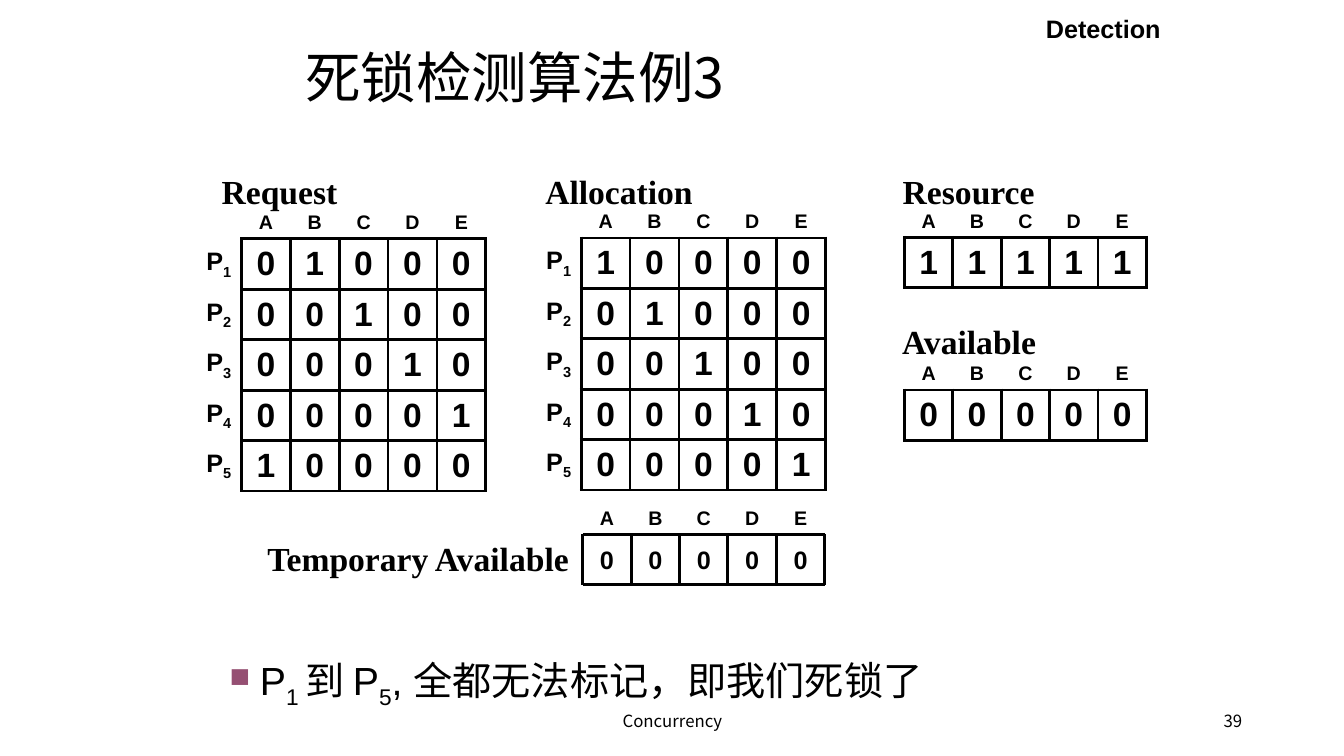
from dataclasses import dataclass

from lxml import etree
from pptx import Presentation
from pptx.dml.color import RGBColor
from pptx.enum.shapes import MSO_CONNECTOR, MSO_SHAPE
from pptx.enum.text import MSO_ANCHOR, PP_ALIGN
from pptx.oxml.ns import qn
from pptx.shapes.shapetree import GroupShapes, SlideShapes
from pptx.table import _Cell
from pptx.text.text import TextFrame
from pptx.util import Emu, Pt

EMU_PER_PX = 9144
BLACK = RGBColor(0x00, 0x00, 0x00)
WHITE = RGBColor(0xFF, 0xFF, 0xFF)
BULLET_COLOR = "954F72"
SANS = "Arial"
SERIF = "Times New Roman"
CJK = "Noto Sans CJK SC"
LEFT, CENTER, RIGHT = PP_ALIGN.LEFT, PP_ALIGN.CENTER, PP_ALIGN.RIGHT
TOP, MIDDLE, BOTTOM = MSO_ANCHOR.TOP, MSO_ANCHOR.MIDDLE, MSO_ANCHOR.BOTTOM
STRAIGHT = MSO_CONNECTOR.STRAIGHT
RECTANGLE = MSO_SHAPE.RECTANGLE
RULE_WIDTH = Pt(2.25)
CELL_HEIGHT = 50
RESOURCES = "ABCDE"
CELL_SIDES = ("L", "R", "T", "B")


@dataclass(frozen=True)
class Style:
    size: float
    font: str = SANS
    bold: bool = True
    align: PP_ALIGN = CENTER
    anchor: MSO_ANCHOR = MIDDLE


@dataclass(frozen=True)
class Label:
    runs: tuple[str, ...]
    left: int
    top: int
    width: int
    height: int
    style: Style


@dataclass(frozen=True)
class Matrix:
    left: int
    top: int
    width: int
    header_height: int
    rows: tuple[str, ...]
    has_processes: bool


RESOURCE_NAME = Style(14, anchor=BOTTOM)
PROCESS_NAME = Style(18, align=RIGHT)
VALUE = Style(24)
TEMPORARY_VALUE = Style(18)
HEADING = Style(24, SERIF, align=LEFT, anchor=TOP)
HEADING_RIGHT = Style(24, SERIF, align=RIGHT, anchor=TOP)
TITLE = Style(39.6, CJK, False, LEFT)
FOOTER = Style(12, CJK, False)
PAGE_NUMBER = Style(12, CJK, False, RIGHT)
CONCLUSION = Style(28, SANS, False, LEFT, TOP)
TOPIC = Style(18, align=RIGHT, anchor=TOP)

FOOTERS = (
    Label(("Concurrency",), 442, 695, 450, 40, FOOTER),
    Label(("39",), 942, 695, 300, 40, PAGE_NUMBER),
)
TITLE_LABEL = Label(("死锁检测算法例3",), 293, 42, 783, 76, TITLE)
HEADINGS = (
    Label(("Request",), 210, 165, 176, 50, HEADING),
    Label(("Allocation",), 531, 165, 176, 50, HEADING),
    Label(("Available",), 885, 313, 173, 50, HEADING),
    Label(("Resource",), 863, 165, 173, 50, HEADING_RIGHT),
    Label(("Detection",), 874, 8, 287, 40, TOPIC),
)
TEMPORARY_LABEL = Label(("Temporary Available",), 236, 529, 338, 50, HEADING_RIGHT)
CONCLUSION_LABEL = Label(
    ("P", "1 ", "到 P", "5", ", 全都无法标记，即我们死锁了"), 210, 646, 925, 65, CONCLUSION
)
MATRICES = (
    Matrix(897, 350, 240, 37, ("00000",), False),
    Matrix(191, 193, 291, 44, ("01000", "00100", "00010", "00001", "10000"), True),
    Matrix(528, 193, 291, 43, ("10000", "01000", "00100", "00010", "00001"), True),
    Matrix(897, 202, 240, 33, ("11111",), False),
)


def px(length: int) -> Emu:
    return Emu(length * EMU_PER_PX)


def write(text_frame: TextFrame, runs: tuple[str, ...], style: Style) -> None:
    paragraph = text_frame.paragraphs[0]
    paragraph.alignment = style.align
    for index, text in enumerate(runs):
        run = paragraph.add_run()
        run.text = text
        run.font.size = Pt(style.size)
        run.font.bold = style.bold
        run.font.color.rgb = BLACK
        run.font.name = style.font
        properties = run._r.get_or_add_rPr()
        etree.SubElement(properties, qn("a:ea")).set("typeface", CJK)
        if index % 2:
            properties.set("baseline", "-25000")


def add_label(shapes: SlideShapes | GroupShapes, label: Label) -> TextFrame:
    box = shapes.add_textbox(px(label.left), px(label.top), px(label.width), px(label.height))
    box.text_frame.word_wrap = True
    box.text_frame.vertical_anchor = label.style.anchor
    write(box.text_frame, label.runs, label.style)
    return box.text_frame


def add_bullet(text_frame: TextFrame) -> None:
    properties = text_frame.paragraphs[0]._p.get_or_add_pPr()
    properties.set("marL", str(px(38)))
    properties.set("indent", str(px(-38)))
    color = etree.SubElement(properties, qn("a:buClr"))
    etree.SubElement(color, qn("a:srgbClr")).set("val", BULLET_COLOR)
    etree.SubElement(properties, qn("a:buSzPct")).set("val", "125000")
    etree.SubElement(properties, qn("a:buChar")).set("char", "▪")


def fill_cell(cell: _Cell, runs: tuple[str, ...], style: Style, ruled_sides: str) -> None:
    properties = cell._tc.get_or_add_tcPr()
    for side in CELL_SIDES:
        border = etree.SubElement(properties, qn(f"a:ln{side}"))
        if side in ruled_sides:
            border.set("w", str(RULE_WIDTH))
            solid = etree.SubElement(border, qn("a:solidFill"))
            etree.SubElement(solid, qn("a:srgbClr")).set("val", str(BLACK))
        else:
            etree.SubElement(border, qn("a:noFill"))
    if style == VALUE:
        cell.fill.solid()
        cell.fill.fore_color.rgb = WHITE
    else:
        cell.fill.background()
    cell.vertical_anchor = style.anchor
    write(cell.text_frame, runs, style)


def add_matrix(shapes: SlideShapes, matrix: Matrix) -> None:
    offset = int(matrix.has_processes)
    row_count, column_count = len(matrix.rows) + 1, len(RESOURCES) + offset
    height = matrix.header_height + CELL_HEIGHT * len(matrix.rows)
    table = shapes.add_table(
        row_count, column_count, px(matrix.left), px(matrix.top), px(matrix.width), px(height)
    ).table
    table.first_row = False
    table.horz_banding = False
    for row in table.rows:
        row.height = px(CELL_HEIGHT)
    table.rows[0].height = px(matrix.header_height)
    if matrix.has_processes:
        fill_cell(table.cell(0, 0), (), RESOURCE_NAME, "")
    for column, name in enumerate(RESOURCES, offset):
        fill_cell(table.cell(0, column), (name,), RESOURCE_NAME, "B")
    for row_index, values in enumerate(matrix.rows, 1):
        if matrix.has_processes:
            fill_cell(table.cell(row_index, 0), ("P", str(row_index)), PROCESS_NAME, "R")
        for column, value in enumerate(values, offset):
            fill_cell(table.cell(row_index, column), (value,), VALUE, "LRTB")


def add_rule(shapes: GroupShapes, x1: int, y1: int, x2: int, y2: int) -> None:
    rule = shapes.add_connector(STRAIGHT, px(x1), px(y1), px(x2), px(y2))
    rule.line.color.rgb = BLACK
    rule.line.width = RULE_WIDTH
    etree.SubElement(rule._element.spPr, qn("a:effectLst"))


def add_temporary_available(shapes: GroupShapes) -> None:
    left, top, cell_width, name_height = 578, 530, 48, 35
    right, bottom = left + cell_width * len(RESOURCES), top + CELL_HEIGHT
    for index, name in enumerate(RESOURCES):
        x = left + cell_width * index
        cell = shapes.add_shape(RECTANGLE, px(x), px(top), px(cell_width), px(CELL_HEIGHT))
        cell.shadow.inherit = False
        cell.fill.solid()
        cell.fill.fore_color.rgb = WHITE
        cell.line.fill.background()
        cell.text_frame.vertical_anchor = MIDDLE
        write(cell.text_frame, ("0",), TEMPORARY_VALUE)
        add_label(shapes, Label((name,), x, top - name_height, cell_width, name_height, RESOURCE_NAME))
    for x in range(left, right + 1, cell_width):
        add_rule(shapes, x, top, x, bottom)
    for y in (top, bottom):
        add_rule(shapes, left, y, right, y)
    add_label(shapes, TEMPORARY_LABEL)


def main() -> None:
    presentation = Presentation()
    presentation.slide_width, presentation.slide_height = px(1333), px(750)
    slide = presentation.slides.add_slide(presentation.slide_layouts[6])
    for footer in FOOTERS:
        add_label(slide.shapes, footer)
    add_temporary_available(slide.shapes.add_group_shape().shapes)
    add_label(slide.shapes, TITLE_LABEL).paragraphs[0].line_spacing = 0.9
    for matrix in MATRICES:
        add_matrix(slide.shapes, matrix)
    for heading in HEADINGS:
        add_label(slide.shapes, heading)
    add_bullet(add_label(slide.shapes, CONCLUSION_LABEL))
    presentation.save("out.pptx")


if __name__ == "__main__":
    main()
